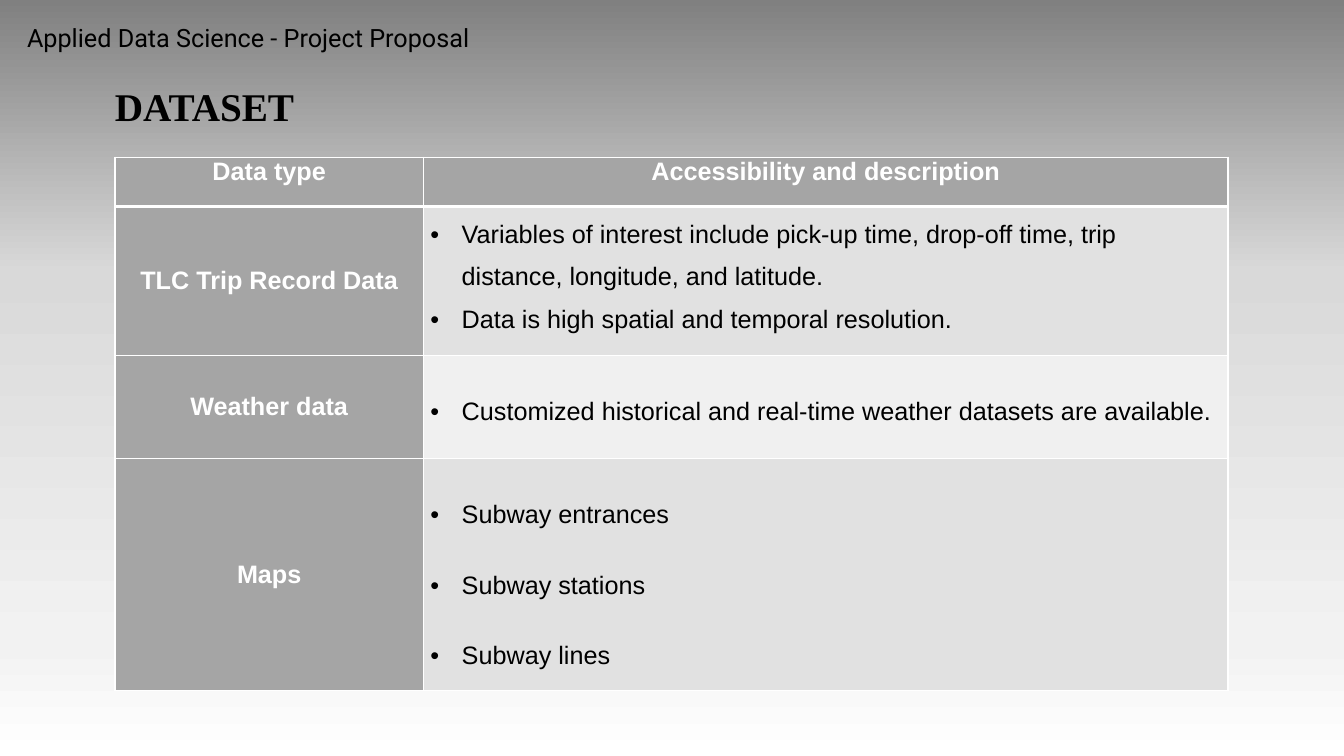
"""Build the dataset slide of a data science project proposal."""
from dataclasses import dataclass

import lxml.etree
import pptx
import pptx.dml.color
import pptx.enum.text
import pptx.oxml.ns
import pptx.util

Inches = pptx.util.Inches
qn = pptx.oxml.ns.qn


@dataclass(frozen=True)
class Theme:
    """Colours, fonts and type sizes."""
    ink: str = "000000"
    paper: str = "FFFFFF"
    label_fill: str = "A5A5A5"
    bands: tuple = ("E1E1E1", "F0F0F0")
    backdrop: tuple = ((0, "808080"), (36, "D9D9D9"), (85, "F2F2F2"), (100, "FFFFFF"))
    header_font: str = "Roboto"
    title_font: str = "Times New Roman"
    table_font: str = "Arial"
    text_size: int = 18
    title_size: int = 28
    rule: int = 1
    heavy_rule: int = 3


class SlideBuilder:
    """Draw elements on the current slide in one style."""

    def __init__(self, slide, theme):
        """Keep the slide and its theme."""
        self.slide = slide
        self.theme = theme

    def background(self):
        """Fill the background with a vertical gradient."""
        fill = self.slide.background.fill
        fill.gradient()
        fill.gradient_angle = 270
        stops = next(self.slide.element.iter(qn("a:gsLst")))
        for default_stop in list(stops):
            stops.remove(default_stop)
        for percent, colour in self.theme.backdrop:
            stop = lxml.etree.SubElement(stops, qn("a:gs"), pos=str(percent * 1000))
            lxml.etree.SubElement(stop, qn("a:srgbClr"), val=colour)

    def styled_run(self, paragraph, words, font, size, colour, bold=False):
        """Add one formatted run."""
        run = paragraph.add_run()
        run.text = words
        run.font.name = font
        run.font.size = pptx.util.Pt(size)
        run.font.bold = bold
        run.font.color.rgb = pptx.dml.color.RGBColor.from_string(colour)

    def header(self, words, left, top, width, height):
        """Add the running header."""
        box = self.slide.shapes.add_textbox(
            Inches(left), Inches(top), Inches(width), Inches(height))
        box.text_frame.word_wrap = True
        self.styled_run(box.text_frame.paragraphs[0], words, self.theme.header_font,
                        self.theme.text_size, self.theme.ink)

    def title(self, words, left, top, width, height):
        """Place and fill the title placeholder."""
        title = self.slide.shapes.title
        title.left, title.top = Inches(left), Inches(top)
        title.width, title.height = Inches(width), Inches(height)
        frame = title.text_frame
        frame.word_wrap = True
        frame.auto_size = pptx.enum.text.MSO_AUTO_SIZE.NONE
        frame.vertical_anchor = pptx.enum.text.MSO_ANCHOR.TOP
        frame.paragraphs[0].alignment = pptx.enum.text.PP_ALIGN.LEFT
        self.styled_run(frame.paragraphs[0], words, self.theme.title_font,
                        self.theme.title_size, self.theme.ink, True)

    def cell(self, cell, fill, top_rule, bottom_rule):
        """Set margins, borders and fill of a cell."""
        cell.margin_left = cell.margin_right = Inches(0.07)
        cell.margin_top = cell.margin_bottom = 0
        properties = cell._tc.get_or_add_tcPr()
        rules = {"L": self.theme.rule, "R": self.theme.rule,
                 "T": top_rule, "B": bottom_rule}
        for side, weight in rules.items():
            line = lxml.etree.SubElement(
                properties, qn(f"a:ln{side}"), w=str(pptx.util.Pt(weight)))
            solid = lxml.etree.SubElement(line, qn("a:solidFill"))
            lxml.etree.SubElement(solid, qn("a:srgbClr"), val=self.theme.paper)
        cell.fill.solid()
        cell.fill.fore_color.rgb = pptx.dml.color.RGBColor.from_string(fill)

    def label(self, cell, words):
        """Put a centred bold heading in a cell."""
        paragraph = cell.text_frame.paragraphs[0]
        paragraph.alignment = pptx.enum.text.PP_ALIGN.CENTER
        self.styled_run(paragraph, words, self.theme.table_font,
                        self.theme.text_size, self.theme.paper, True)

    def bullets(self, cell, points, spacing):
        """Put a bulleted list in a cell."""
        frame = cell.text_frame
        for number, point in enumerate(points):
            paragraph = frame.add_paragraph() if number else frame.paragraphs[0]
            paragraph.line_spacing = spacing
            properties = paragraph._p.get_or_add_pPr()
            properties.set("marL", str(Inches(0.31)))
            properties.set("indent", str(-Inches(0.31)))
            lxml.etree.SubElement(properties, qn("a:buFont"), typeface="Arial")
            lxml.etree.SubElement(properties, qn("a:buChar"), char="•")
            self.styled_run(paragraph, point, self.theme.table_font,
                            self.theme.text_size, self.theme.ink)

    def table(self, headings, datasets, left, top, widths, heights):
        """Add the table of datasets."""
        theme = self.theme
        table = self.slide.shapes.add_table(
            len(heights), len(widths), Inches(left), Inches(top),
            Inches(sum(widths)), Inches(sum(heights))).table
        for column, width in zip(table.columns, widths):
            column.width = Inches(width)
        for row, height in zip(table.rows, heights):
            row.height = Inches(height)
        for column, heading in enumerate(headings):
            self.cell(table.cell(0, column), theme.label_fill, theme.rule, theme.heavy_rule)
            self.label(table.cell(0, column), heading)
        for row, (name, spacing, points) in enumerate(datasets, 1):
            top_rule = theme.heavy_rule if row == 1 else theme.rule
            name_cell, points_cell = table.cell(row, 0), table.cell(row, 1)
            self.cell(name_cell, theme.label_fill, top_rule, theme.rule)
            name_cell.vertical_anchor = pptx.enum.text.MSO_ANCHOR.MIDDLE
            self.label(name_cell, name)
            band = theme.bands[(row - 1) % len(theme.bands)]
            self.cell(points_cell, band, top_rule, theme.rule)
            self.bullets(points_cell, points, spacing)


DATASETS = (
    ("TLC Trip Record Data", 1.5, (
        "Variables of interest include pick-up time, drop-off time, trip distance, "
        "longitude, and latitude.",
        "Data is high spatial and temporal resolution.")),
    ("Weather data", 2.5, (
        "Customized historical and real-time weather datasets are available.",)),
    ("Maps", 2.5, ("Subway entrances", "Subway stations", "Subway lines")),
)


def main():
    """Build and save the presentation."""
    deck = pptx.Presentation()
    deck.slide_width, deck.slide_height = Inches(13.33), Inches(7.5)
    builder = SlideBuilder(deck.slides.add_slide(deck.slide_layouts[5]), Theme())
    builder.background()
    builder.header("Applied Data Science - Project Proposal", 0.17, 0.17, 6.53, 0.71)
    builder.title("DATASET", 1.04, 0.77, 5.41, 0.57)
    builder.table(("Data type", "Accessibility and description"), DATASETS,
                  1.14, 1.56, (3.06, 7.98), (0.49, 1.48, 1.02, 2.3))
    deck.save("out.pptx")


if __name__ == "__main__":
    main()
